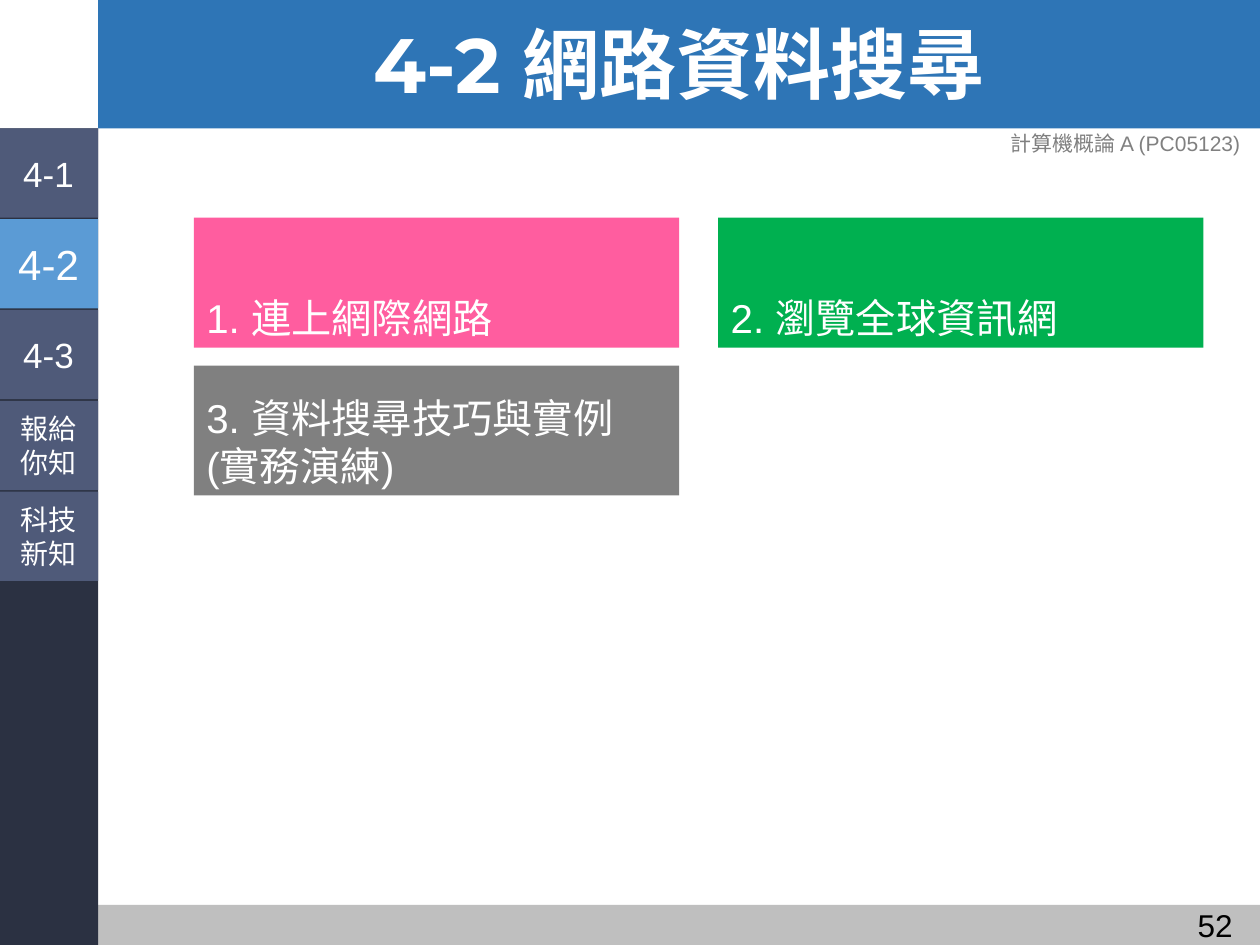
from pptx import Presentation
from pptx.dml.color import RGBColor
from pptx.enum.shapes import MSO_SHAPE
from pptx.enum.text import MSO_ANCHOR as Anchor, MSO_AUTO_SIZE as AutoSize, PP_ALIGN as Align
from pptx.util import Cm, Pt

COLORS = {
    "banner": "2E75B6", "footer": "BFBFBF", "sidebar": "2B3142",
    "tab": "4F5A79", "active": "5B9BD5", "pink": "FF5D9F",
    "green": "00B050", "gray": "808080", "white": "FFFFFF", "black": "000000",
}
WIDTH, HEIGHT = 25.4, 19.05
SIDEBAR_RIGHT, BANNER_HEIGHT, FOOTER_TOP = 1.98, 2.59, 18.24
MAIN_WIDTH = WIDTH - SIDEBAR_RIGHT
TAB_LEFT, TAB_WIDTH, TAB_HEIGHT, TAB_PITCH = -0.02, 2.0, 1.8, 1.83
CARD_LEFT, CARD_TOP, CARD_WIDTH, CARD_HEIGHT = 3.91, 4.39, 9.78, 2.62
CARD_PITCH_X, CARD_PITCH_Y = 10.57, 2.98


class ChapterSlide:
    def __init__(self, slide, font="Arial"):
        self.slide = slide
        self.font = font

    def color(self, name):
        return RGBColor.from_string(COLORS[name])

    def set_text(self, shape, text, size, color="white", align=Align.LEFT,
                 anchor=Anchor.TOP, wrap=True, font=None, bold=False, margin=None):
        frame = shape.text_frame
        frame.text = text
        frame_format = {"word_wrap": wrap, "vertical_anchor": anchor,
                        "auto_size": AutoSize.NONE}
        if margin is not None:
            for side in ("left", "top", "right", "bottom"):
                frame_format[f"margin_{side}"] = Cm(margin)
        for name, value in frame_format.items():
            setattr(frame, name, value)
        font_format = {"name": font or self.font, "size": Pt(size), "bold": bold}
        for paragraph in frame.paragraphs:
            paragraph.alignment = align
            for name, value in font_format.items():
                setattr(paragraph.font, name, value)
            paragraph.font.color.rgb = self.color(color)

    def block(self, left, top, width, height, fill):
        shape = self.slide.shapes.add_shape(
            MSO_SHAPE.RECTANGLE, Cm(left), Cm(top), Cm(width), Cm(height))
        shape.shadow.inherit = False
        shape.fill.solid()
        shape.fill.fore_color.rgb = self.color(fill)
        shape.line.fill.background()
        return shape

    def label(self, left, top, width, height, text, size, **style):
        box = self.slide.shapes.add_textbox(Cm(left), Cm(top), Cm(width), Cm(height))
        self.set_text(box, text, size, **style)

    def title(self, text):
        """Place the title placeholder in front of the banner."""
        heading = self.slide.shapes.title
        heading.element.getparent().append(heading.element)
        place = {"left": SIDEBAR_RIGHT, "top": 0.08,
                 "width": MAIN_WIDTH, "height": BANNER_HEIGHT}
        for name, value in place.items():
            setattr(heading, name, Cm(value))
        self.set_text(heading, text, 44, align=Align.CENTER, anchor=Anchor.MIDDLE,
                      font="Montserrat", bold=True)
        heading.text_frame.paragraphs[0].line_spacing = 0.9

    def card(self, column, row, text, fill):
        shape = self.block(CARD_LEFT + column * CARD_PITCH_X,
                           CARD_TOP + row * CARD_PITCH_Y,
                           CARD_WIDTH, CARD_HEIGHT, fill)
        self.set_text(shape, text, 23, anchor=Anchor.BOTTOM)

    def tab(self, index, text, size, fill="tab"):
        shape = self.block(TAB_LEFT, BANNER_HEIGHT + index * TAB_PITCH,
                           TAB_WIDTH, TAB_HEIGHT, fill)
        self.set_text(shape, text, size, align=Align.CENTER, anchor=Anchor.MIDDLE,
                      wrap=False, margin=0.1)


def main():
    deck = Presentation()
    deck.slide_width, deck.slide_height = Cm(WIDTH), Cm(HEIGHT)
    page = ChapterSlide(deck.slides.add_slide(deck.slide_layouts[5]))

    page.block(SIDEBAR_RIGHT, 0, MAIN_WIDTH, BANNER_HEIGHT, "banner")
    page.block(SIDEBAR_RIGHT, FOOTER_TOP, MAIN_WIDTH, HEIGHT - FOOTER_TOP, "footer")
    page.label(20.12, 2.51, 5.18, 0.76, "計算機概論 A (PC05123)", 12, color="gray")
    page.block(TAB_LEFT, BANNER_HEIGHT, TAB_WIDTH, HEIGHT - BANNER_HEIGHT, "sidebar")
    page.title("4-2 網路資料搜尋")
    page.label(22.4, 18.14, 2.7, 1.02, "52", 18, color="black", align=Align.RIGHT)

    page.card(0, 0, "1. 連上網際網路", "pink")
    page.card(0, 1, "3. 資料搜尋技巧與實例\v(實務演練)", "gray")
    page.card(1, 0, "2. 瀏覽全球資訊網", "green")

    tabs = [("4-1", 20), ("4-2", 24, "active"), ("4-3", 20),
            ("報給\n你知", 16), ("科技\n新知", 16)]
    for index, tab in enumerate(tabs):
        page.tab(index, *tab)

    deck.save("out.pptx")


if __name__ == "__main__":
    main()
